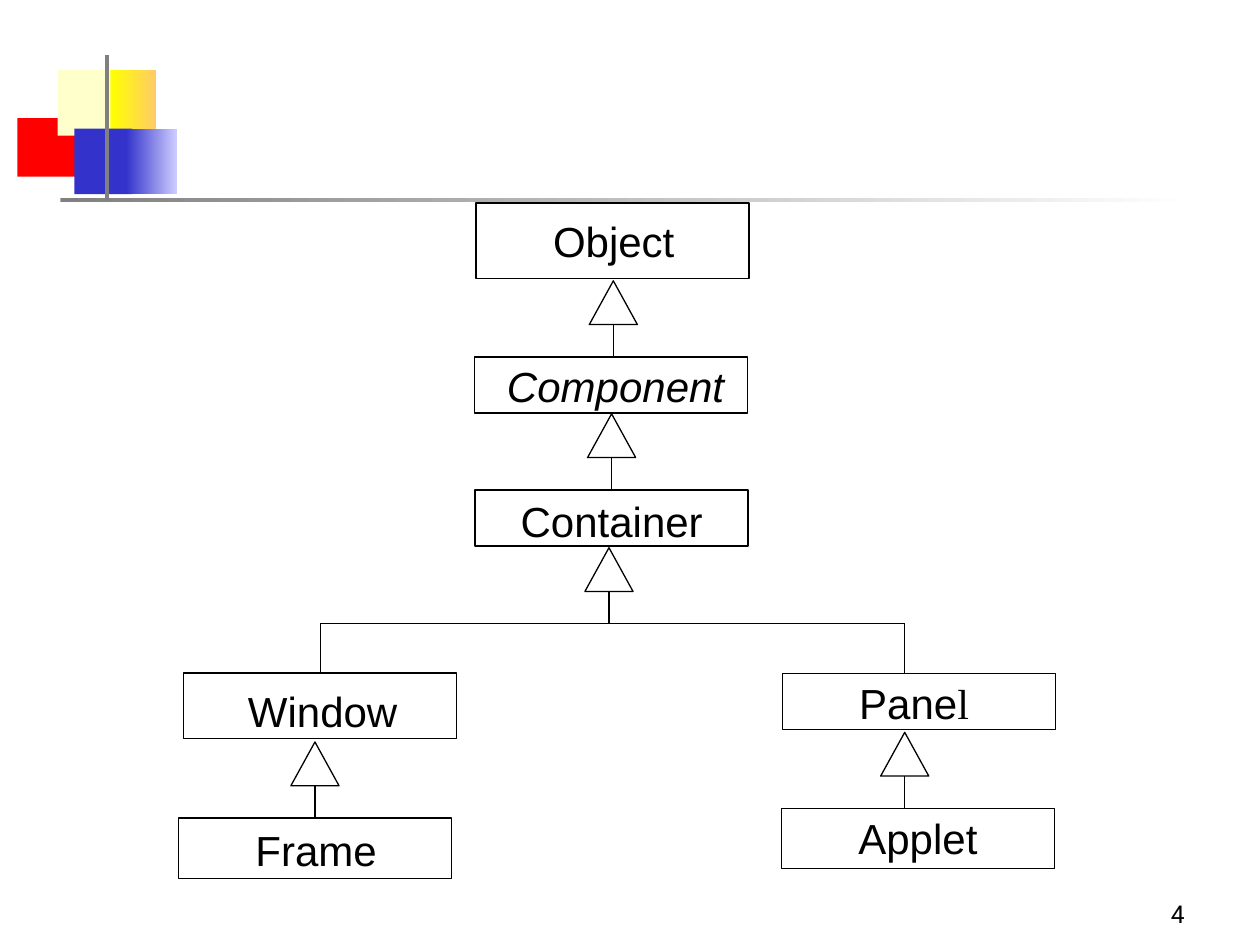
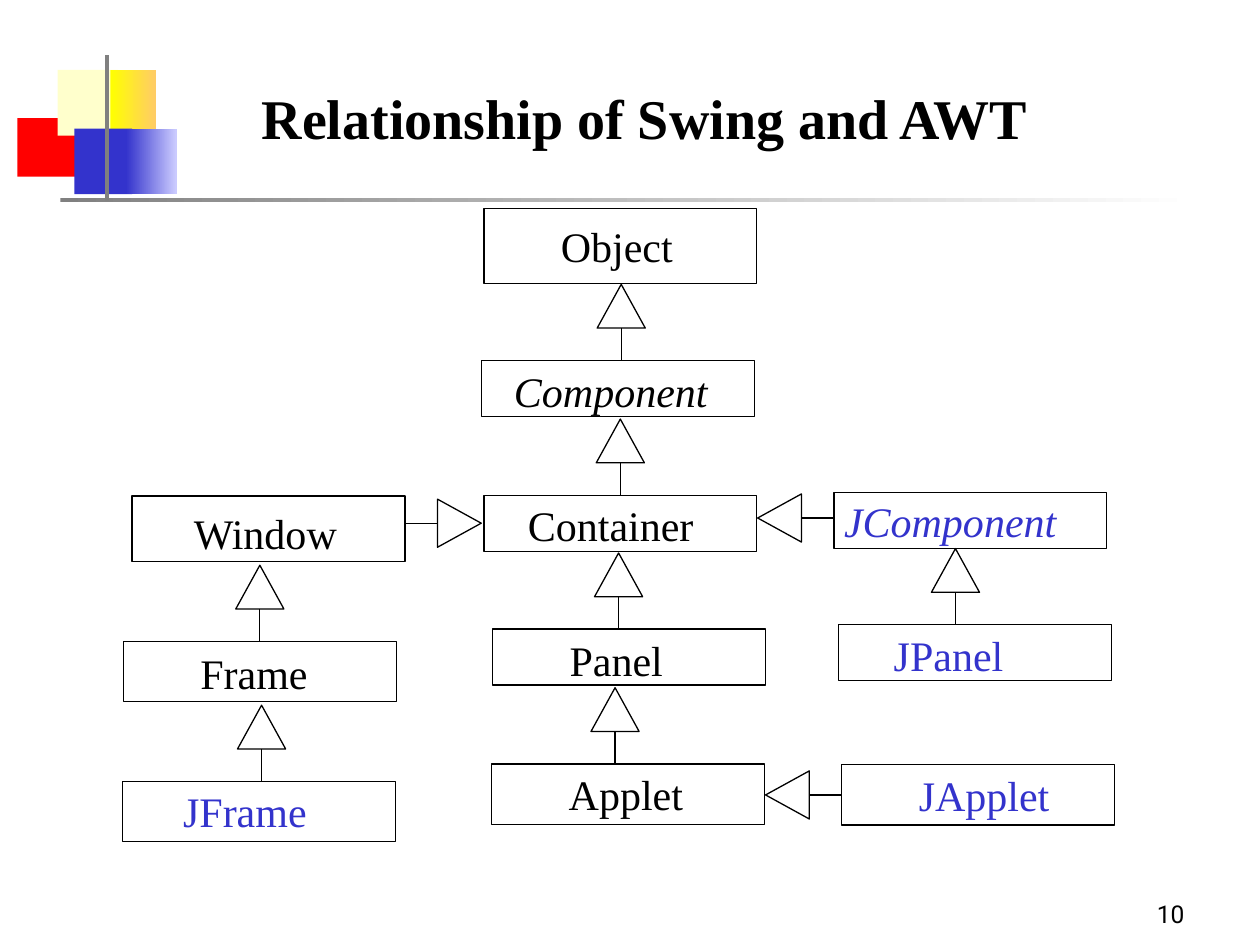
from lxml import etree
from pptx import Presentation
from pptx.dml.color import RGBColor
from pptx.enum import shapes, text
from pptx.oxml.ns import qn
from pptx.util import Pt

BLACK, BLUE, GRAY, WHITE = "000000", "3333CC", "808080", "FFFFFF"
SERIF, SANS, NUMBER_FONT = "Times New Roman", "Arial", "Roboto"
BOX_WIDTH = 156
TRIANGLE_WIDTH, TRIANGLE_DEPTH, STEM = 27.5, 25, 18.5
TOP, LEFT, RIGHT = 0, 1, 3
ARROWS = {TOP: (0, -1, 0), LEFT: (-1, 0, 270), RIGHT: (1, 0, 90)}

DECORATION = [
    (10, 67.5, 44, 33.5, ["FF0000"]),
    (34.5, 113, 648, 2.25, [GRAY, WHITE]),
    (33, 40, 34.5, 37.5, ["FFFFCC"]),
    (63, 40, 26, 37.5, ["FFFF00", "FFCC66"]),
    (42.5, 73.5, 33, 37.5, [BLUE]),
    (72, 73.5, 29, 37.5, [BLUE, "CCCCFF"]),
    (60, 31.5, 2.25, 83, [GRAY]),
]

DIAGRAMS = [
    {
        "number": "4",
        "font": SANS,
        "boxes": [
            ("Object", 272, 116, 43, 44, 7.2, BLACK, False),
            ("Component", 271, 204, 32, 18.7, 2.2, BLACK, True),
            ("Container", 271.5, 280, 32, 26, 2.9, BLACK, False),
            ("Window", 105, 384.5, 37.5, 36.7, 7.2, BLACK, False),
            ("Frame", 102, 467.5, 34.5, 44, 3.6, BLACK, False),
            ("Pane", 447, 385, 32, 44, 2.2, BLACK, False),
            ("Applet", 446.5, 462, 34.5, 44, 2.2, BLACK, False),
        ],
        "arrows": [
            ("Component", TOP, 350.5),
            ("Container", TOP, None),
            ("Branch", TOP, 348),
            ("Frame", TOP, None),
            ("Applet", TOP, 517),
        ],
    },
    {
        "number": "10",
        "title": "Relationship of Swing and AWT",
        "font": SERIF,
        "boxes": [
            ("Object", 276.5, 119, 43, 44, 7.2, BLACK, False),
            ("Component", 275, 206, 32, 18.7, 2.9, BLACK, True),
            ("Container", 276.5, 283, 32, 25.2, 2.2, BLACK, False),
            ("Panel", 281.5, 359.5, 32, 44, 2.9, BLACK, False),
            ("Applet", 281, 436.5, 34.5, 44, 2.9, BLACK, False),
            ("Window", 75.5, 283.5, 37.5, 35.3, 6.5, BLACK, False),
            ("Frame", 70.5, 366.5, 34.5, 44, 3.6, BLACK, False),
            ("JFrame", 70, 446.5, 34.5, 34.6, 2.2, BLUE, False),
            ("JComponent", 476.5, 281.5, 32, 5.8, 1.4, BLUE, True),
            ("JPanel", 479, 357, 32, 31.7, 2.9, BLUE, False),
            ("JApplet", 481, 437, 34.5, 44, 2.9, BLUE, False),
        ],
        "arrows": [
            ("Component", TOP, 355),
            ("Container", TOP, None),
            ("Panel", TOP, 353.5),
            ("Applet", TOP, 351.5),
            ("Frame", TOP, None),
            ("JFrame", TOP, 149.5),
            ("JPanel", TOP, 546),
            ("Window", RIGHT, 299),
            ("JComponent", LEFT, 296),
            ("JApplet", LEFT, None),
        ],
    },
]


def paint(shape, fill=None, line=None):
    if isinstance(shape.line.width, int) and hasattr(shape, "fill"):
        shape.shadow.inherit = False
        if not fill:
            shape.fill.background()
        elif len(fill) == 1:
            shape.fill.solid()
            shape.fill.fore_color.rgb = RGBColor.from_string(fill[0])
        else:
            shape.fill.gradient()
            shape.fill.gradient_angle = 0
            for stop, color in zip(shape.fill.gradient_stops, fill):
                stop.color.rgb = RGBColor.from_string(color)
    if line:
        shape.line.color.rgb = RGBColor.from_string(line)
        shape.line.width = Pt(0.75)
    else:
        shape.line.fill.background()


def write(shape, content, font, size=24, color=BLACK, bold=False, italic=False,
          align=text.PP_ALIGN.LEFT, anchor=text.MSO_ANCHOR.TOP):
    frame = shape.text_frame
    frame.word_wrap = True
    frame.vertical_anchor = anchor
    paragraph = frame.paragraphs[0]
    paragraph.alignment = align
    run = paragraph.add_run()
    run.text = content
    run.font.name = font
    run.font.size = Pt(size)
    run.font.bold = bold
    run.font.italic = italic
    run.font.color.rgb = RGBColor.from_string(color)


presentation = Presentation()
presentation.slide_width, presentation.slide_height = Pt(720), Pt(540)

for diagram in DIAGRAMS:
    has_title = "title" in diagram
    slide = presentation.slides.add_slide(presentation.slide_layouts[5 if has_title else 6])

    for x, y, width, height, fill in DECORATION:
        band = slide.shapes.add_shape(
            shapes.MSO_SHAPE.RECTANGLE, Pt(x), Pt(y), Pt(width), Pt(height))
        paint(band, fill)

    if has_title:
        title = slide.shapes.title
        title.left, title.top, title.width, title.height = Pt(115), Pt(44), Pt(507), Pt(62)
        write(title, diagram["title"], SERIF, size=32, bold=True, align=text.PP_ALIGN.CENTER)

    nodes = {}
    for name, x, y, height, indent, drop, color, italic in diagram["boxes"]:
        box = slide.shapes.add_shape(
            shapes.MSO_SHAPE.RECTANGLE, Pt(x), Pt(y), Pt(BOX_WIDTH), Pt(height))
        paint(box, line=BLACK)
        frame = box.text_frame
        frame.margin_left, frame.margin_top = Pt(indent), Pt(drop)
        frame.margin_right = frame.margin_bottom = 0
        write(box, name, diagram["font"], color=color, italic=italic)
        nodes[name] = box

    connectors = []
    if "Pane" in nodes:
        write(nodes["Pane"], "l", SERIF)
        for start_x, end_x, end_y in [(183, 517, 356.5), (183, 183, 384.5), (517, 517, 385)]:
            connectors.append(slide.shapes.add_connector(
                shapes.MSO_CONNECTOR.STRAIGHT, Pt(start_x), Pt(356.5), Pt(end_x), Pt(end_y)))
        nodes["Branch"] = connectors[0]
        connectors[1].end_connect(nodes["Window"], TOP)

    for name, side, position in diagram["arrows"]:
        node = nodes[name]
        step_x, step_y, rotation = ARROWS[side]
        end_x = node.left.pt + (node.width.pt if side == RIGHT else 0)
        end_y = node.top.pt
        if side == TOP:
            end_x = position or node.left.pt + node.width.pt / 2
        else:
            end_y = position or node.top.pt + node.height.pt / 2
        center = STEM + TRIANGLE_DEPTH / 2
        triangle = slide.shapes.add_shape(
            shapes.MSO_SHAPE.ISOSCELES_TRIANGLE,
            Pt(end_x + step_x * center - TRIANGLE_WIDTH / 2),
            Pt(end_y + step_y * center - TRIANGLE_DEPTH / 2),
            Pt(TRIANGLE_WIDTH), Pt(TRIANGLE_DEPTH))
        triangle.rotation = rotation
        paint(triangle, line=BLACK)
        stem = slide.shapes.add_connector(
            shapes.MSO_CONNECTOR.STRAIGHT,
            Pt(end_x + step_x * STEM), Pt(end_y + step_y * STEM), Pt(end_x), Pt(end_y))
        if position is None:
            stem.end_connect(node, side)
        connectors.append(stem)

    for connector in connectors:
        paint(connector, line=BLACK)
        etree.SubElement(connector._element.spPr, qn("a:effectLst"))

    number = slide.shapes.add_textbox(Pt(534), Pt(498), Pt(150), Pt(36))
    write(number, diagram["number"], NUMBER_FONT, size=14,
          align=text.PP_ALIGN.RIGHT, anchor=text.MSO_ANCHOR.BOTTOM)

presentation.save("out.pptx")
